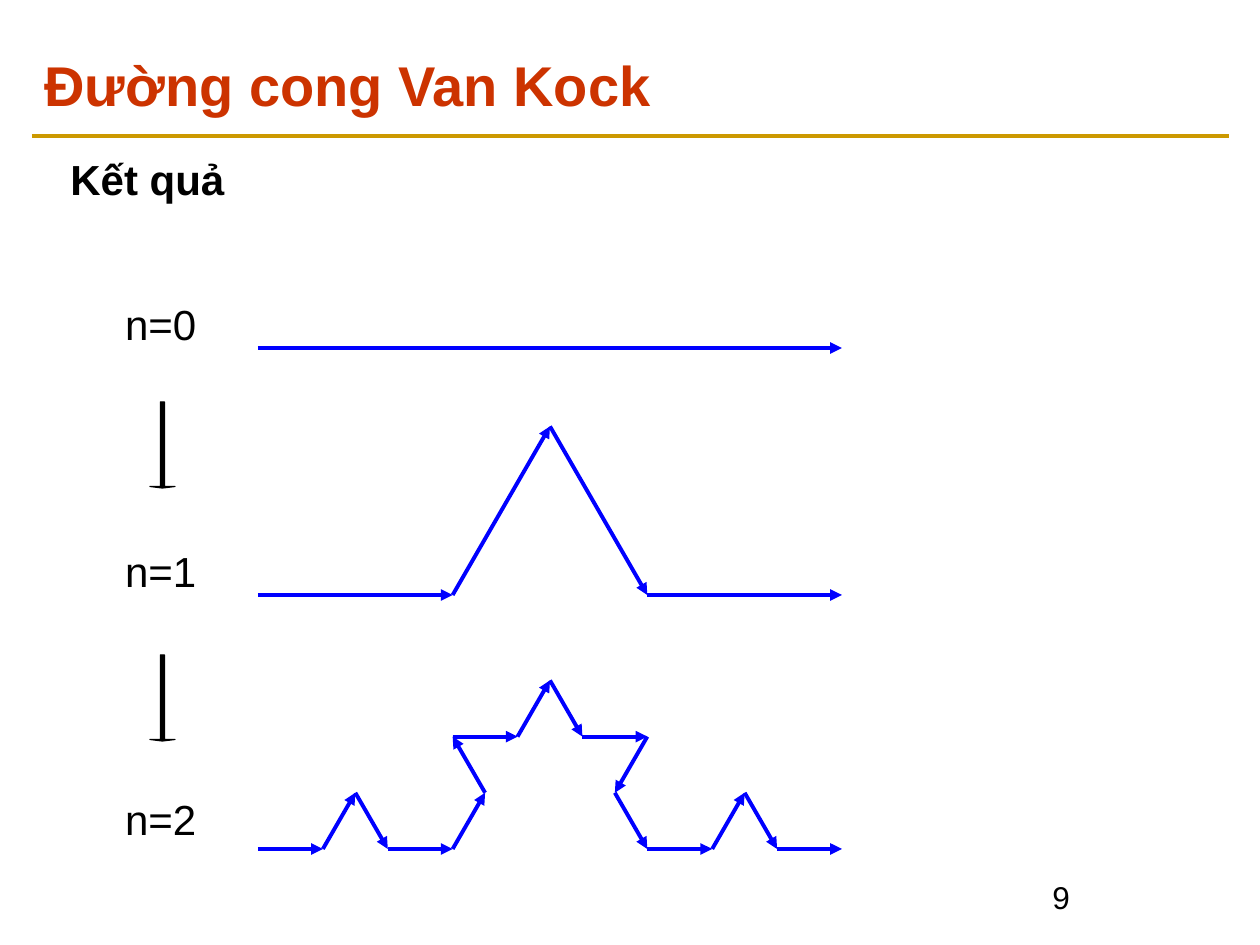
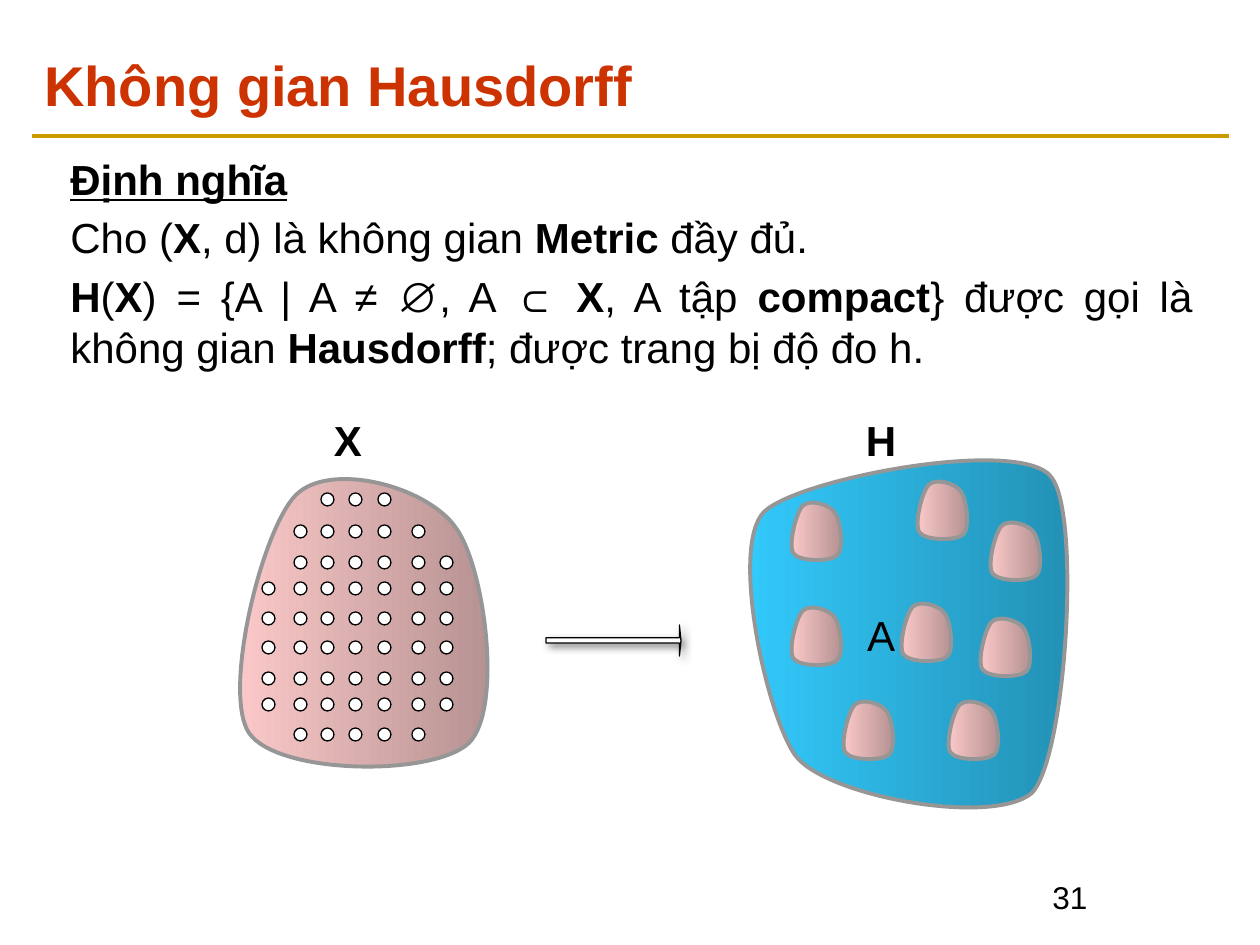
import math
from pptx import Presentation
from pptx import util as u
from pptx.dml.color import RGBColor
from pptx.enum import shapes, text
from pptx.oxml import parse_xml
from pptx.oxml.ns import nsdecls, qn
from lxml import etree

BLACK = RGBColor(0x00, 0x00, 0x00)
WHITE = RGBColor(0xFF, 0xFF, 0xFF)
TITLE_RED = RGBColor(0xCC, 0x33, 0x00)
RULE_GOLD = RGBColor(0xCC, 0x99, 0x00)
CURVE_BLUE = RGBColor(0x00, 0x00, 0xFF)
OUTLINE_GREY = RGBColor(0x96, 0x96, 0x96)
PINKS = (RGBColor(0xB3, 0x8F, 0x8F), RGBColor(0xFF, 0xCC, 0xCC))
BLUES = (RGBColor(0x23, 0x8F, 0xB3), RGBColor(0x33, 0xCC, 0xFF))
LEFT, JUSTIFY = text.PP_ALIGN.LEFT, text.PP_ALIGN.JUSTIFY
TOP, MIDDLE = text.MSO_ANCHOR.TOP, text.MSO_ANCHOR.MIDDLE


def px(*lengths):
    """Turn px lengths (126 to the inch) into a list of EMU."""
    return [u.Emu(round(n * 914400 / 126)) for n in lengths]


def add_text(s, box, content, size=24, color=BLACK, align=LEFT, anchor=TOP,
             inset=True, wrap=True):
    """Add one paragraph per line of content; *stars* enclose bold words."""
    tf = s.shapes.add_textbox(*px(*box)).text_frame
    tf.word_wrap = wrap
    tf.vertical_anchor = anchor
    if not inset:
        tf.margin_left = tf.margin_right = tf.margin_top = tf.margin_bottom = 0
    for i, line in enumerate(content.split("\n")):
        p = tf.add_paragraph() if i else tf.paragraphs[0]
        p.alignment = align
        p.space_before = u.Pt(4.8 if i else 0)
        for j, part in enumerate(line.split("*")):
            if part:
                r = p.add_run()
                r.text = part
                r.font.name = "Arial"
                r.font.size = u.Pt(size)
                r.font.bold = j % 2 == 1
                r.font.color.rgb = color
    return tf


prs = Presentation()
prs.slide_width, prs.slide_height = px(1260, 945)

# Shared title, rule and slide number
slides = []
for title, number in (("Đường cong Van Kock", "9"), ("Không gian Hausdorff", "31")):
    s = prs.slides.add_slide(prs.slide_layouts[6])
    rule = s.shapes.add_connector(shapes.MSO_CONNECTOR.STRAIGHT, *px(32, 136, 1229, 136))
    rule.line.color.rgb = RULE_GOLD
    rule.line.width = u.Pt(2.25)
    etree.SubElement(rule._element.spPr, qn("a:effectLst"))
    add_text(s, (1040, 872, 189, 63), number, size=18)
    add_text(s, (32, 42, 1197, 84), f"*{title}*", size=32, color=TITLE_RED, anchor=MIDDLE)
    slides.append(s)
koch, hausdorff = slides

# Koch curve: each level replaces every segment by four
add_text(koch, (58, 147, 1147, 725), "*Kết quả*")
PEAK_TURN = complex(0.5, -math.sqrt(3) / 2)
points = [0j, 584 + 0j]
for level, (base_y, label_y) in enumerate(((348, 299), (595, 546), (849, 794))):
    add_text(koch, (125, label_y, 72, 50), f"n={level}", inset=False, wrap=False)
    for a, b in zip(points, points[1:]):
        arrow = koch.shapes.add_connector(
            shapes.MSO_CONNECTOR.STRAIGHT,
            *px(258 + a.real, base_y + a.imag, 258 + b.real, base_y + b.imag))
        arrow.line.color.rgb = CURVE_BLUE
        arrow.line.width = u.Pt(2.25)
        etree.SubElement(arrow.line._get_or_add_ln(), qn("a:tailEnd"), type="triangle")
        etree.SubElement(arrow._element.spPr, qn("a:effectLst"))
    refined = points[:1]
    for a, b in zip(points, points[1:]):
        third = (b - a) / 3
        refined += [a + third, a + third + third * PEAK_TURN, a + 2 * third, b]
    points = refined

# Definition of the Hausdorff space
tf = add_text(hausdorff, (58, 147, 1147, 234),
              "*Định nghĩa*\n"
              "Cho (*X*, d) là không gian *Metric* đầy đủ.\n"
              "*H*(*X*) = {A | A ≠ ∅, A ⊂ *X*, A tập *compact*} được gọi là "
              "không gian *Hausdorff*; được trang bị độ đo h.", align=JUSTIFY)
tf.paragraphs[0].runs[0].font.underline = True

# Closed curves: a start point, then three Bézier points per side
X_OUTLINE = [(296, 495), (330, 461), (427, 486), (456, 528), (485, 568), (503, 709), (469, 743),
             (433, 777), (278, 775), (249, 733), (222, 692), (262, 529), (296, 495)]
H_OUTLINE = [(764, 512), (799, 478), (1024, 436), (1052, 478), (1081, 518), (1066, 757), (1032, 793),
             (992, 827), (824, 796), (795, 755), (766, 713), (730, 547), (764, 512)]
SUBSET_CORNERS = [(898, 600), (945, 698), (977, 615), (987, 519),
                  (788, 499), (788, 604), (840, 698), (914, 478)]
regions = [(X_OUTLINE, PINKS), (H_OUTLINE, BLUES)]
for left, top in SUBSET_CORNERS:
    # every member of H is X at one fifth of its size
    regions.append(([(left + (x - 222) / 5, top + (y - 461) / 5) for x, y in X_OUTLINE], PINKS))
for outline, colors in regions:
    start, *rest = [px(*point) for point in outline]
    builder = hausdorff.shapes.build_freeform(*start)
    builder.add_line_segments(rest, close=True)
    sp = builder.convert_to_shape()
    segments = list(sp._element.iter(qn("a:lnTo")))
    for first, second, third in zip(segments[::3], segments[1::3], segments[2::3]):
        first.tag = qn("a:cubicBezTo")
        for other in (second, third):
            first.append(other[0])
            other.getparent().remove(other)
    sp.shadow.inherit = False
    sp.fill.gradient()
    sp.fill.gradient_angle = 180
    for stop, color in zip(sp.fill.gradient_stops, colors):
        stop.color.rgb = color
    sp.line.color.rgb = OUTLINE_GREY
    sp.line.width = u.Pt(2.25)

for label, x, y in (("*X*", 334, 415), ("*H*", 866, 415), ("A", 867, 610)):
    add_text(hausdorff, (x, y, 30, 50), label, inset=False, wrap=False)

# Block arrows and the points of X
DOWN, RIGHT = shapes.MSO_SHAPE.DOWN_ARROW, shapes.MSO_SHAPE.RIGHT_ARROW
marks = [(koch, DOWN, (150, 402, 25, 86), BLACK, (0.16, 0.06)),
         (koch, DOWN, (150, 655, 25, 86), BLACK, (0.16, 0.06)),
         (hausdorff, RIGHT, (546, 625, 135, 31), WHITE, (0.17, 0.05))]
DOT_COLUMNS = [262, 294, 321, 349, 378, 412, 440]
DOT_ROWS = [(493, 2, 4), (525, 1, 5), (556, 1, 6), (582, 0, 6), (612, 0, 6),
            (641, 0, 6), (672, 0, 6), (698, 0, 6), (728, 1, 5)]
for y, first, last in DOT_ROWS:
    for x in DOT_COLUMNS[first:last + 1]:
        marks.append((hausdorff, shapes.MSO_SHAPE.OVAL, (x, y, 13, 13), WHITE, ()))
for s, kind, box, color, adjustments in marks:
    sp = s.shapes.add_shape(kind, *px(*box))
    for i, value in enumerate(adjustments):
        sp.adjustments[i] = value
    sp.fill.solid()
    sp.fill.fore_color.rgb = color
    sp.line.color.rgb = BLACK
    sp.line.width = u.Pt(0.75)
    sp.shadow.inherit = False
    if kind == RIGHT:
        sp._element.spPr.find(qn("a:effectLst")).append(parse_xml(
            f'<a:outerShdw {nsdecls("a")} blurRad="63500" dist="35560" dir="2700000">'
            '<a:srgbClr val="808080"/></a:outerShdw>'))

prs.save("out.pptx")
